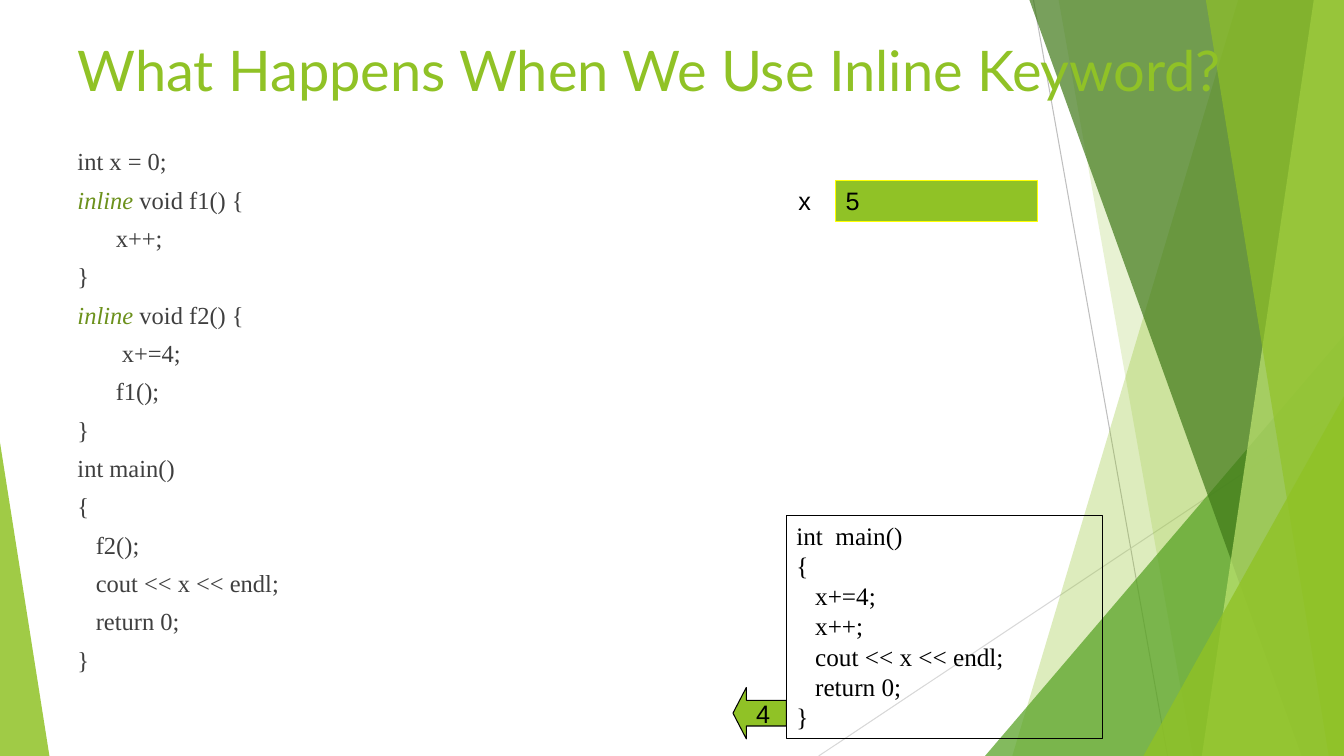
import pptx
import pptx.dml.color
import pptx.enum.shapes
import pptx.enum.text
import pptx.oxml
import pptx.util
from pptx.util import Inches

SHAPE = pptx.enum.shapes.MSO_SHAPE
ALIGN = pptx.enum.text.PP_ALIGN
ANCHOR = pptx.enum.text.MSO_ANCHOR
WIDTH, HEIGHT = 13.33, 7.5
GREEN, KEYWORD, CODE, BLACK = "90C226", "6C911C", "3F3F3F", "000000"
SERIF, SANS, HEADING = "Times New Roman", "Arial", "Lato"


def color(hex_string):
    return pptx.dml.color.RGBColor.from_string(hex_string)


def add_xml(parent, tag, **attributes):
    element = pptx.oxml.parse_xml(
        f'<a:{tag} xmlns:a="http://schemas.openxmlformats.org/drawingml/2006/main"/>')
    for name, value in attributes.items():
        element.set(name, value)
    parent.append(element)


class SlideBuilder:
    def __init__(self, presentation):
        self.slide = presentation.slides.add_slide(presentation.slide_layouts[5])
        self.shapes = self.slide.shapes

    def style(self, shape, fill=None, line=None, opacity=100):
        shape.shadow.inherit = False
        if fill:
            shape.fill.solid()
            shape.fill.fore_color.rgb = color(fill)
            if opacity < 100:
                solid = shape.element.spPr.find(pptx.oxml.ns.qn("a:solidFill"))
                add_xml(solid[0], "alpha", val=str(opacity * 1000))
        else:
            shape.fill.background()
        if line:
            shape.line.color.rgb = color(line)
            shape.line.width = pptx.util.Pt(0.75)
        else:
            shape.line.fill.background()

    def line(self, start, end, line_color):
        connector = self.shapes.add_connector(
            pptx.enum.shapes.MSO_CONNECTOR.STRAIGHT, *map(Inches, start + end))
        connector.line.color.rgb = color(line_color)
        connector.line.width = pptx.util.Pt(0.75)
        add_xml(connector.element.spPr, "effectLst")

    def ray(self, top_x, bottom_x, fill, opacity):
        """Fill from a slanted left edge to the right side of the slide."""
        corners = [(top_x, 0), (WIDTH, 0), (WIDTH, HEIGHT), (bottom_x, HEIGHT)]
        points = [(Inches(x), Inches(y)) for x, y in corners]
        builder = self.shapes.build_freeform(*points[0])
        builder.add_line_segments(points[1:])
        self.style(builder.convert_to_shape(), fill, opacity=opacity)

    def shape(self, kind, box, fill=None, line=None, opacity=100, adjustments=()):
        shape = self.shapes.add_shape(kind, *map(Inches, box))
        for index, value in enumerate(adjustments):
            shape.adjustments[index] = value
        self.style(shape, fill, line, opacity)
        return shape

    def text_box(self, box):
        return self.shapes.add_textbox(*map(Inches, box))

    def title(self, text, box):
        title = self.shapes.title
        title.left, title.top, title.width, title.height = map(Inches, box)
        title.element.getparent().append(title.element)
        self.add_text(title, [text], 40, HEADING, GREEN)

    def add_text(self, shape, lines, size, font, text_color, align=ALIGN.LEFT,
                 anchor=ANCHOR.TOP):
        frame = shape.text_frame
        frame.word_wrap = True
        frame.auto_size = pptx.enum.text.MSO_AUTO_SIZE.NONE
        frame.vertical_anchor = anchor
        for index, line in enumerate(lines):
            paragraph = frame.add_paragraph() if index else frame.paragraphs[0]
            paragraph.alignment = align
            before, keyword, after = line.partition("inline ")
            for text, is_keyword in ((before, False), (keyword, True), (after, False)):
                if text:
                    run = paragraph.add_run()
                    run.text = text
                    run.font.name = font
                    run.font.size = pptx.util.Pt(size)
                    run.font.italic = is_keyword
                    run.font.color.rgb = color(KEYWORD if is_keyword else text_color)

    def code(self, lines, box):
        shape = self.text_box(box)
        self.add_text(shape, lines, 17.5, SERIF, CODE)
        for index, paragraph in enumerate(shape.text_frame.paragraphs):
            paragraph.line_spacing = 0.8
            paragraph.space_before = pptx.util.Pt(10.6 if index else 0)
            properties = paragraph._p.get_or_add_pPr()
            properties.set("marL", str(Inches(0.38)))
            properties.set("indent", str(-Inches(0.38)))


def main():
    presentation = pptx.Presentation()
    presentation.slide_width = Inches(WIDTH)
    presentation.slide_height = Inches(HEIGHT)
    builder = SlideBuilder(presentation)

    # Background facets
    builder.line((10.25, 0), (11.58, HEIGHT), "BFBFBF")
    builder.line((WIDTH, 4.03), (8.12, HEIGHT), "D8D8D8")
    builder.ray(12.28, 10.04, GREEN, 30)
    builder.ray(10.5, 11.83, GREEN, 20)
    builder.shape(SHAPE.ISOSCELES_TRIANGLE, (9.77, 3.33, 3.56, 4.17), "54A021",
                  opacity=72, adjustments=[1])
    builder.ray(10.21, 12.91, "3F7818", 70)
    builder.ray(13.03, 11.92, "BFE471", 70)
    builder.ray(11.96, 13.18, GREEN, 65)
    builder.shape(SHAPE.ISOSCELES_TRIANGLE, (11.34, 3.93, 1.99, 3.57), GREEN,
                  opacity=80, adjustments=[1])
    builder.shape(SHAPE.ISOSCELES_TRIANGLE, (0, 4.39, 0.49, 3.11), GREEN,
                  opacity=85, adjustments=[0])

    # Title
    builder.title("What Happens When We Use Inline Keyword?", (0.67, 0.3, 12, 1.25))

    # Variable x and its value
    value = builder.shape(SHAPE.RECTANGLE, (8.29, 1.79, 2, 0.41), GREEN, "FFFF00")
    builder.add_text(value, ["5"], 18, SANS, BLACK)
    builder.add_text(builder.text_box((7.82, 1.79, 0.36, 0.4)), ["x"], 18, SANS, BLACK)

    # Expanded main function and step arrow
    expanded = builder.shape(SHAPE.RECTANGLE, (7.8, 5.11, 3.14, 2.22), line=BLACK)
    builder.add_text(expanded, ["int  main()", "{", "   x+=4;", "   x++;",
                                "   cout << x << endl;", "   return 0;", "}"],
                     18, SERIF, BLACK)
    arrow = builder.shape(SHAPE.LEFT_ARROW, (7.27, 6.82, 0.53, 0.51), GREEN, BLACK,
                          adjustments=[0.5, 0.26])
    builder.add_text(arrow, ["4"], 18, SANS, BLACK, ALIGN.CENTER, ANCHOR.MIDDLE)

    # Source code
    builder.code(["int x = 0;", "inline void f1() {", "\tx++;", "}",
                  "inline void f2() {", "\t x+=4;", "\tf1();", "}",
                  "int main()", "{", "   f2();", "   cout << x << endl;",
                  "   return 0;", "}"], (0.67, 1.46, 6.39, 5.35))

    presentation.save("out.pptx")


if __name__ == "__main__":
    main()
